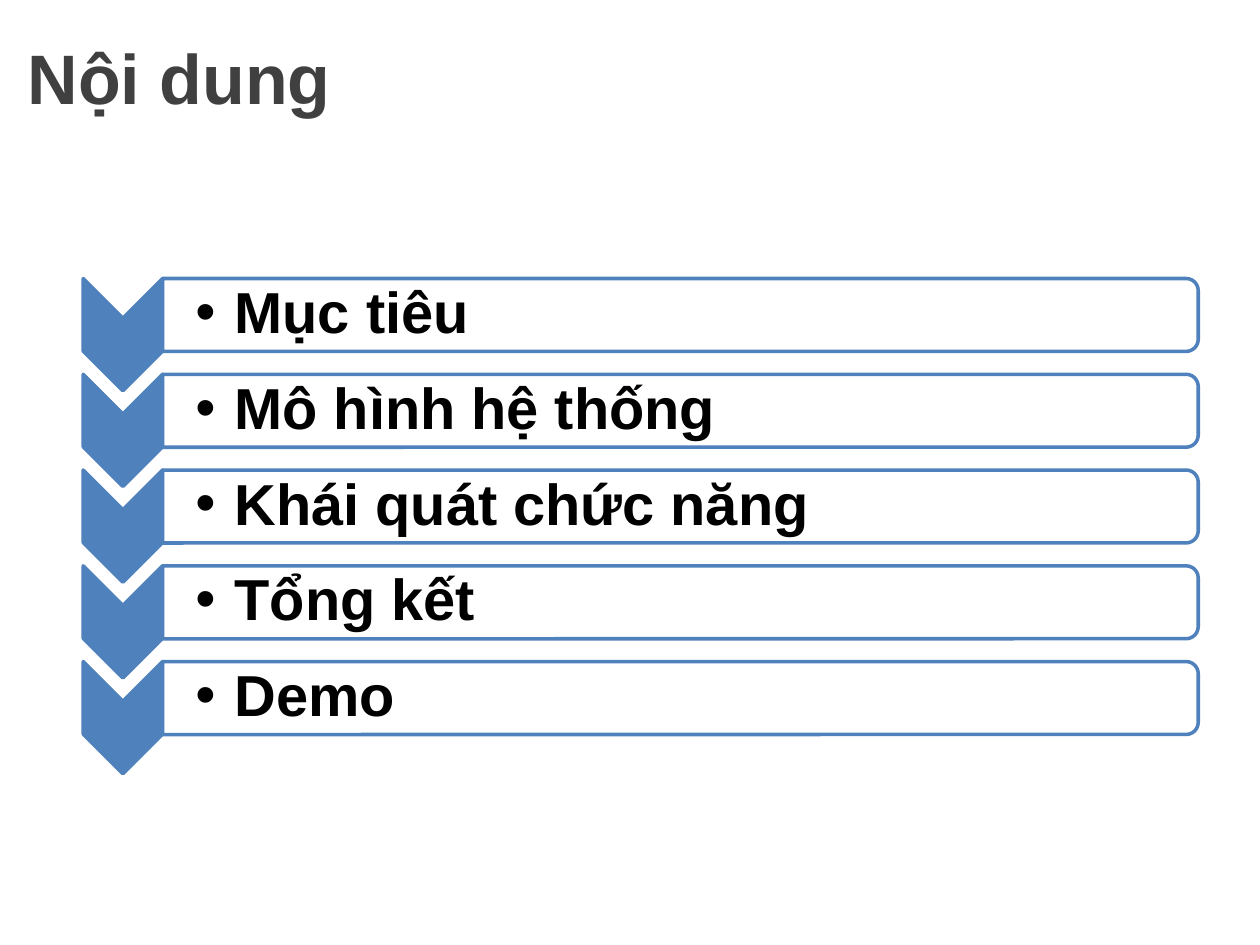
"""Build the contents slide: a title above five chevron rows."""
from dataclasses import dataclass

from lxml.etree import SubElement
from pptx import Presentation
from pptx.dml.color import RGBColor
from pptx.enum.shapes import MSO_SHAPE as Preset
from pptx.enum.text import MSO_ANCHOR as Anchor, PP_ALIGN as Align
from pptx.oxml.ns import qn
from pptx.util import Pt


@dataclass(frozen=True)
class Theme:
    font: str = "Arial"
    title_size: int = 40
    item_size: int = 33
    title: RGBColor = RGBColor(0x40, 0x40, 0x40)
    text: RGBColor = RGBColor(0, 0, 0)
    accent: RGBColor = RGBColor(0x4F, 0x81, 0xBD)
    panel: RGBColor = RGBColor(0xFF, 0xFF, 0xFF)


theme = Theme()
topics = ["Mục tiêu", "Mô hình hệ thống", "Khái quát chức năng", "Tổng kết", "Demo"]
row_top, row_step = 180, 54.72
chevron_length, chevron_width = 64.1, 45.3
panel_length, panel_height = 591.8, 41.7


def style_text(para, size, color):
    for span in para.runs:
        span.font.name = theme.font
        span.font.size = Pt(size)
        span.font.bold = True
        span.font.color.rgb = color


def add_turned(group, preset, center_x, center_y, width, height, fill):
    shape = group.shapes.add_shape(
        preset, Pt(center_x - width / 2), Pt(center_y - height / 2), Pt(width), Pt(height))
    shape.rotation = 90
    shape.shadow.inherit = False
    shape.fill.solid()
    shape.fill.fore_color.rgb = fill
    shape.line.color.rgb = theme.accent
    shape.line.width = Pt(2)
    return shape


deck = Presentation()
deck.slide_width, deck.slide_height = Pt(720), Pt(540)
page = deck.slides.add_slide(deck.slide_layouts[5])

title = page.shapes.title
title.left, title.top, title.width, title.height = Pt(8.64), Pt(1.44), Pt(207.4), Pt(84.2)
title.text_frame.text = "Nội dung"
title.text_frame.vertical_anchor = Anchor.MIDDLE
title.text_frame.paragraphs[0].alignment = Align.LEFT
style_text(title.text_frame.paragraphs[0], theme.title_size, theme.title)

rows = page.shapes.add_group_shape()
for index, topic in enumerate(topics):
    middle = row_top + index * row_step
    add_turned(rows, Preset.CHEVRON, 70.2, middle + 11.2,
               chevron_length, chevron_width, theme.accent)
    panel = add_turned(rows, Preset.ROUND_2_SAME_RECTANGLE, 388.8, middle,
                       panel_height, panel_length, theme.panel)
    panel_color = panel.fill._xPr.find(qn("a:solidFill"))[0]
    SubElement(panel_color, qn("a:alpha"), val="90000")

    box = rows.shapes.add_textbox(Pt(92.9), Pt(middle - 18.8), Pt(589.7), Pt(37.6))
    frame = box.text_frame
    frame.word_wrap = True
    frame.vertical_anchor = Anchor.MIDDLE
    frame.margin_left = Pt(18.7)
    frame.margin_top = frame.margin_right = frame.margin_bottom = Pt(1.5)
    frame.text = topic
    para = frame.paragraphs[0]
    para.level = 1
    para.line_spacing = 0.9
    style_text(para, theme.item_size, theme.text)
    properties = para._p.get_or_add_pPr()
    properties.set("marL", str(Pt(22.5)))
    properties.set("indent", str(Pt(-22.5)))
    SubElement(properties, qn("a:buFont"), typeface=theme.font)
    SubElement(properties, qn("a:buChar"), char="•")

deck.save("out.pptx")
